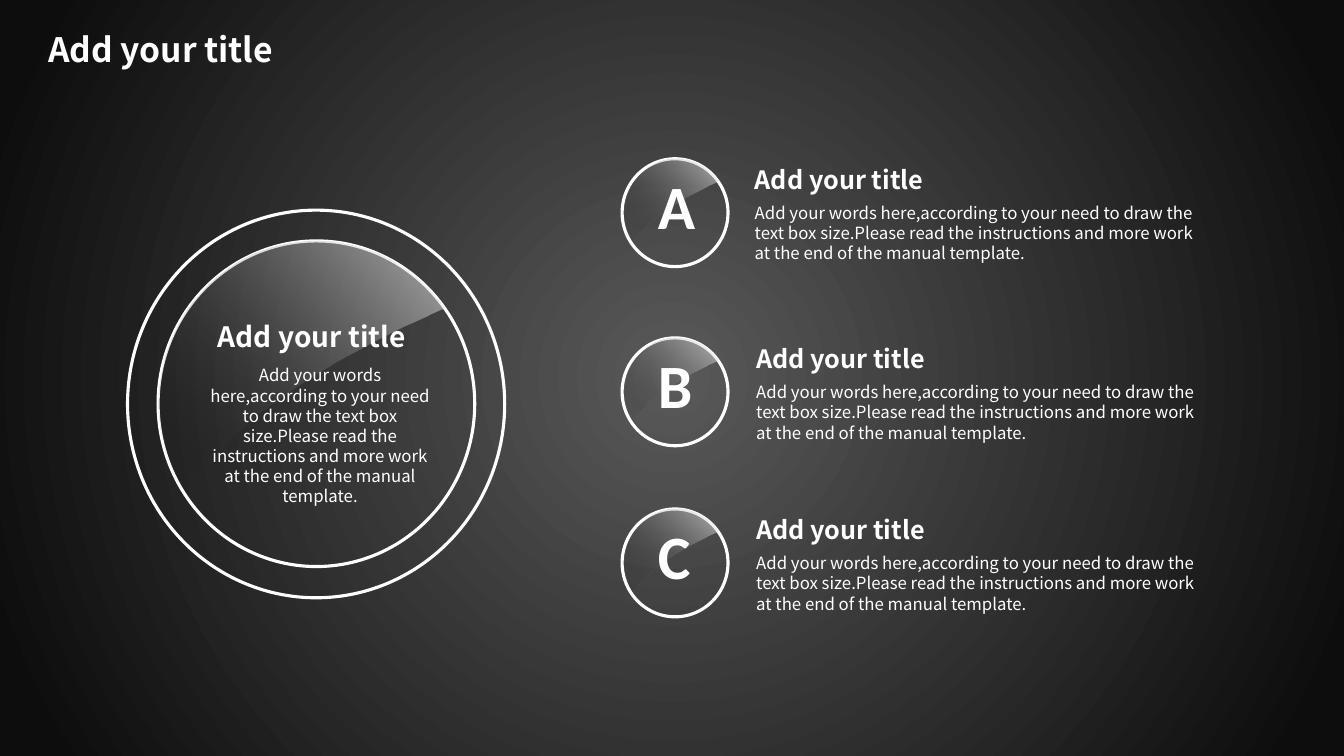
import dataclasses

import pptx
import pptx.dml.color
import pptx.enum.shapes
import pptx.enum.text
import pptx.oxml
import pptx.oxml.ns
import pptx.util

WHITE = pptx.dml.color.RGBColor(0xFF, 0xFF, 0xFF)
BLACK = pptx.dml.color.RGBColor(0x00, 0x00, 0x00)
GREY = pptx.dml.color.RGBColor(0x59, 0x59, 0x59)
DARK = pptx.dml.color.RGBColor(0x0D, 0x0D, 0x0D)
SANS = "Noto Sans CJK SC"
WIDTH = pptx.util.Inches(13.33)
HEIGHT = pptx.util.Inches(7.5)
TOP = pptx.enum.text.MSO_ANCHOR.TOP
MIDDLE = pptx.enum.text.MSO_ANCHOR.MIDDLE
LEFT = pptx.enum.text.PP_ALIGN.LEFT
CENTER = pptx.enum.text.PP_ALIGN.CENTER
TITLE = "Add your title"
WORDS = ("Add your words here,according to your need to draw the text box size."
         "Please read the instructions and more work at the end of the manual template.")

Point = tuple[float, float]


@dataclasses.dataclass
class Box:
    """Shares of the slide, in percent."""
    left: float
    top: float
    width: float
    height: float

    def emu(self) -> tuple[int, int, int, int]:
        return (round(self.left * WIDTH / 100), round(self.top * HEIGHT / 100),
                round(self.width * WIDTH / 100), round(self.height * HEIGHT / 100))


@dataclasses.dataclass
class Label:
    text: str
    box: Box
    size: float
    bold: bool = False
    font: str = SANS
    anchor: pptx.enum.text.MSO_ANCHOR = TOP
    align: pptx.enum.text.PP_ALIGN = LEFT
    inset: float = 0.05
    grow: bool = True


@dataclasses.dataclass
class Item:
    letter: str
    top: float
    left: float


ITEMS = [Item("A", 21, 55.42), Item("B", 44.7, 55.53), Item("C", 67.33, 55.53)]

START: Point = (55.3, 0)
GLOSS: list[list[Point]] = [
    [(70.4, 0), (84.2, 7.3), (94.4, 19.4)],
    [(100, 27.1)],
    [(85.2, 34.8)],
    [(54.6, 51.8), (30.3, 70), (12.3, 93.9)],
    [(8.1, 100)],
    [(6.7, 96.8)],
    [(2.3, 87.4), (0, 76.9), (0, 65.6)],
    [(0, 29.6), (24.6, 0), START],
]


def blend(stops, course: str):
    marks = "".join(
        f'<a:gs pos="{place * 1000}"><a:srgbClr val="{color}">'
        f'<a:alpha val="{alpha * 1000}"/></a:srgbClr></a:gs>'
        for place, color, alpha in stops)
    return pptx.oxml.parse_xml(
        f'<a:gradFill {pptx.oxml.ns.nsdecls("a")} rotWithShape="1">'
        f'<a:gsLst>{marks}</a:gsLst>{course}</a:gradFill>')


def swap_fill(fill, grad) -> None:
    fill.gradient()
    old = fill.gradient_stops[0]._gs.getparent().getparent()
    old.getparent().replace(old, grad)


def draw_back(slide) -> None:
    course = ('<a:path path="circle">'
              '<a:fillToRect l="50000" t="50000" r="50000" b="50000"/></a:path>')
    swap_fill(slide.background.fill, blend([(0, GREY, 100), (94, DARK, 100)], course))


def draw_ring(shapes, box: Box) -> None:
    ring = shapes.add_shape(pptx.enum.shapes.MSO_SHAPE.OVAL, *box.emu())
    ring.shadow.inherit = False
    ring.fill.background()
    ring.line.color.rgb = WHITE
    ring.line.width = pptx.util.Pt(2.25)


def bend(shape, width: int, height: int) -> None:
    lines = list(shape._element.iter(pptx.oxml.ns.qn("a:lnTo")))
    for line, part in zip(lines, GLOSS):
        if len(part) == 3:
            marks = "".join(f'<a:pt x="{round(x * width / 100)}" y="{round(y * height / 100)}"/>'
                            for x, y in part)
            curve = pptx.oxml.parse_xml(
                f'<a:cubicBezTo {pptx.oxml.ns.nsdecls("a")}>{marks}</a:cubicBezTo>')
            line.getparent().replace(line, curve)


def draw_gloss(shapes, box: Box) -> None:
    left, top, width, height = box.emu()
    knots = [(left + x * width / 100, top + y * height / 100)
             for x, y in [START] + [part[-1] for part in GLOSS]]
    pen = shapes.build_freeform(*knots[0])
    pen.add_line_segments(knots[1:], close=True)
    gloss = pen.convert_to_shape()
    bend(gloss, width, height)
    gloss.shadow.inherit = False
    gloss.line.fill.background()
    swap_fill(gloss.fill, blend([(0, BLACK, 0), (100, WHITE, 58)],
                                '<a:lin ang="18900000" scaled="0"/>'))


def draw_label(shapes, label: Label) -> None:
    frame = shapes.add_textbox(*label.box.emu()).text_frame
    frame.word_wrap = True
    frame.vertical_anchor = label.anchor
    frame.margin_top = frame.margin_bottom = pptx.util.Inches(label.inset)
    if label.grow:
        frame.auto_size = pptx.enum.text.MSO_AUTO_SIZE.SHAPE_TO_FIT_TEXT
    frame.text = label.text
    para = frame.paragraphs[0]
    para.alignment = label.align
    font = para.runs[0].font
    font.name = label.font
    font.size = pptx.util.Pt(label.size)
    font.bold = label.bold
    font.color.rgb = WHITE


def draw_hub(slide) -> None:
    hub = slide.shapes.add_group_shape().shapes
    draw_ring(hub, Box(11.76, 31.87, 23.56, 43.07))
    draw_gloss(hub, Box(11.76, 31.87, 21.31, 32.93))
    draw_ring(hub, Box(9.49, 27.8, 28.06, 51.27))
    draw_label(hub, Label(TITLE, Box(15.48, 41.55, 19.13, 5.87), 20, True, anchor=MIDDLE))
    draw_label(hub, Label(WORDS, Box(14.74, 47.63, 18.15, 20.13), 12, align=CENTER))


def draw_item(slide, item: Item) -> None:
    badge = slide.shapes.add_group_shape().shapes
    draw_ring(badge, Box(46.29, item.top, 7.88, 14.27))
    draw_gloss(badge, Box(46.44, item.top, 7.05, 10.93))
    draw_label(badge, Label(item.letter, Box(48.22, item.top + 0.53, 6, 11.2),
                            44, True, "Calibri"))
    note = slide.shapes.add_group_shape().shapes
    draw_label(note, Label(WORDS, Box(item.left, item.top + 5.83, 35.11, 14.13),
                           12, inset=0, grow=False))
    draw_label(note, Label(TITLE, Box(item.left, item.top + 0.07, 23.63, 5.33),
                           18, True, anchor=MIDDLE))


def main() -> None:
    deck = pptx.Presentation()
    deck.slide_width, deck.slide_height = WIDTH, HEIGHT
    slide = deck.slides.add_slide(deck.slide_layouts[6])
    draw_back(slide)
    draw_label(slide.shapes, Label(TITLE, Box(2.85, 3.2, 22.96, 6.67), 24, True))
    draw_hub(slide)
    for item in ITEMS:
        draw_item(slide, item)
    deck.save("out.pptx")


if __name__ == "__main__":
    main()
